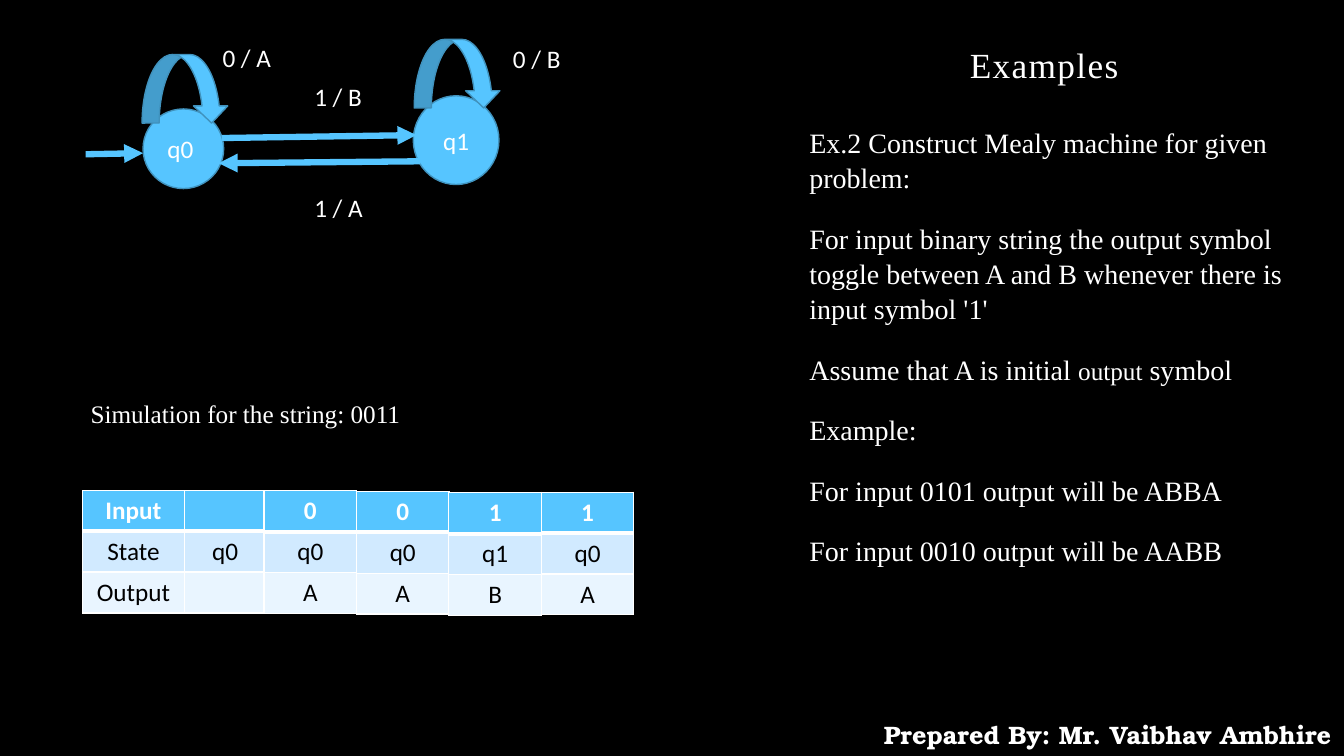
from lxml import etree
from pptx import Presentation
from pptx import util as u
from pptx.dml.color import RGBColor
from pptx.enum import shapes, text
from pptx.oxml import ns

COLORS = {
    "black": "000000",
    "white": "FFFFFF",
    "sky": "56C5FF",
    "edge": "4092BD",
    "state": "D1EAFF",
    "output": "E9F5FF",
}
SERIF, SANS, CREDIT = "Times New Roman", "Calibri", "TeX Gyre Bonum"
LEFT, CENTER = text.PP_ALIGN.LEFT, text.PP_ALIGN.CENTER


def color(name):
    return RGBColor.from_string(COLORS[name])


def add_node(parent, tag, **attributes):
    return etree.SubElement(parent, ns.qn(tag), attributes)


class SlideBuilder:
    def __init__(self, page):
        self.page = page
        page.background.fill.solid()
        page.background.fill.fore_color.rgb = color("black")

    def span(self, para, words, size=18, font=SANS, ink="white", bold=False):
        span = para.add_run()
        span.text = words
        span.font.size = u.Pt(size)
        span.font.name = font
        span.font.bold = bold
        span.font.color.rgb = color(ink)
        return span

    def title(self, words, left, top, width, height):
        box = self.page.shapes.title
        box.left, box.top = u.Pt(left), u.Pt(top)
        box.width, box.height = u.Pt(width), u.Pt(height)
        frame = box.text_frame
        frame.auto_size = text.MSO_AUTO_SIZE.NONE
        frame.vertical_anchor = text.MSO_ANCHOR.BOTTOM
        para = frame.paragraphs[0]
        para.alignment = LEFT
        para.line_spacing = 0.9
        span = self.span(para, words, 25.2, SERIF)
        span.font._element.set("spc", "100")

    def text(self, paragraphs, left, top, width, height, align=LEFT,
             spacing=1.0, before=0, **style):
        box = self.page.shapes.add_textbox(*map(u.Pt, (left, top, width, height)))
        frame = box.text_frame
        frame.word_wrap = True
        for index, pieces in enumerate(paragraphs):
            para = frame.add_paragraph() if index else frame.paragraphs[0]
            para.alignment = align
            para.line_spacing = spacing
            para.space_before = u.Pt(before)
            for words, changes in pieces:
                self.span(para, words, **{**style, **changes})

    def shape(self, kind, left, top, width, height, words=""):
        box = self.page.shapes.add_shape(kind, *map(u.Pt, (left, top, width, height)))
        box.shadow.inherit = False
        box.fill.solid()
        box.fill.fore_color.rgb = color("sky")
        box.line.color.rgb = color("edge")
        box.line.width = u.Pt(1)
        if words:
            box.text_frame.vertical_anchor = text.MSO_ANCHOR.MIDDLE
            para = box.text_frame.paragraphs[0]
            para.alignment = CENTER
            self.span(para, words)

    def arrow(self, *ends):
        arrow = self.page.shapes.add_connector(
            shapes.MSO_CONNECTOR.STRAIGHT, *map(u.Pt, ends))
        arrow.line.color.rgb = color("sky")
        arrow.line.width = u.Pt(4.5)
        add_node(arrow.line._get_or_add_ln(), "a:tailEnd", type="triangle")
        add_node(arrow._element.spPr, "a:effectLst")

    def borders(self, cell, row):
        properties = cell._tc.get_or_add_tcPr()
        widths = {"L": 1, "R": 1, "T": 3 if row == 1 else 1, "B": 1 if row else 3}
        for index, (side, width) in enumerate(widths.items()):
            line = add_node(properties, f"a:ln{side}", w=str(u.Pt(width)))
            add_node(add_node(line, "a:solidFill"), "a:srgbClr", val=COLORS["white"])
            properties.insert(index, line)

    def table(self, rows, left, top, widths, heights):
        frame = self.page.shapes.add_table(
            len(rows), len(widths),
            *map(u.Pt, (left, top, sum(widths), sum(heights))))
        table = frame.table
        for column, width in zip(table.columns, widths):
            column.width = u.Pt(width)
        for index, values in enumerate(rows):
            table.rows[index].height = u.Pt(heights[index])
            for column, words in enumerate(values):
                cell = table.cell(index, column)
                cell.fill.solid()
                cell.fill.fore_color.rgb = color(("sky", "state", "output")[index])
                self.borders(cell, index)
                if words:
                    para = cell.text_frame.paragraphs[0]
                    para.alignment = CENTER
                    self.span(para, words, ink="black" if index else "white",
                              bold=index == 0)


def main():
    deck = Presentation()
    deck.slide_width, deck.slide_height = u.Pt(960), u.Pt(540)
    slide = SlideBuilder(deck.slides.add_slide(deck.slide_layouts[5]))

    slide.text([[("Prepared By: Mr. Vaibhav Ambhire", {})]], 622, 510.5, 338.4, 28.8,
               CENTER, font=CREDIT, bold=True)
    slide.title("Examples", 685.5, 30.2, 237.6, 35.3)
    slide.text([
        [("Ex.2 Construct Mealy machine for given problem:", {})],
        [("For input binary string the output symbol toggle between A and B "
          "whenever there is input symbol '1'", {})],
        [("Assume that A is initial ", {}), ("output", {"size": 18}), (" symbol", {})],
        [("Example:", {})],
        [("For input 0101 output will be ABBA", {})],
        [("For input 0010 output will be AABB", {})],
    ], 571, 85, 375.8, 337.7, spacing=1.05, before=18, size=20, font=SERIF)

    oval = shapes.MSO_SHAPE.OVAL
    loop = shapes.MSO_SHAPE.CURVED_DOWN_ARROW
    slide.shape(oval, 102.2, 77.8, 57.6, 56.9, "q0 ")
    slide.arrow(61.2, 110.2, 102.2, 109.4)
    slide.shape(oval, 295.2, 68.4, 61.2, 63.4, "q1")
    slide.arrow(158.4, 98.6, 297.4, 96.5)
    slide.arrow(300.2, 115.2, 156.2, 116.6)
    for left, top in ((295.9, 28.1), (101.5, 38.9)):
        slide.shape(loop, left, top, 61.9, 49)

    for words, left, top, width in (
        ("0 / A", 151.9, 26.8, 67.7),
        ("1 / B", 217.4, 54.7, 59),
        ("1 / A", 217.4, 133.9, 59),
        ("0 / B", 359.3, 27.4, 50.4),
    ):
        slide.text([[(words, {})]], left, top, width, 28.8)

    slide.text([[("Simulation for the string: 0011", {})]], 57.6, 270, 502.6, 36.7,
               spacing=1.5, font=SERIF)
    slide.table([("Input", ""), ("State", "q0"), ("Output", "")],
                59, 350.6, (72.7, 58.3), (28.1, 29.2, 29.2))
    steps = (("0q0A", 350.6), ("0q0A", 351), ("1q1B", 352), ("1q0A", 351.6))
    for index, (step, top) in enumerate(steps):
        slide.table([(step[0],), (step[1:3],), (step[3],)],
                    188.6 + 66 * index, top, (66.2,), (29.2,) * 3)
    deck.save("out.pptx")


if __name__ == "__main__":
    main()
